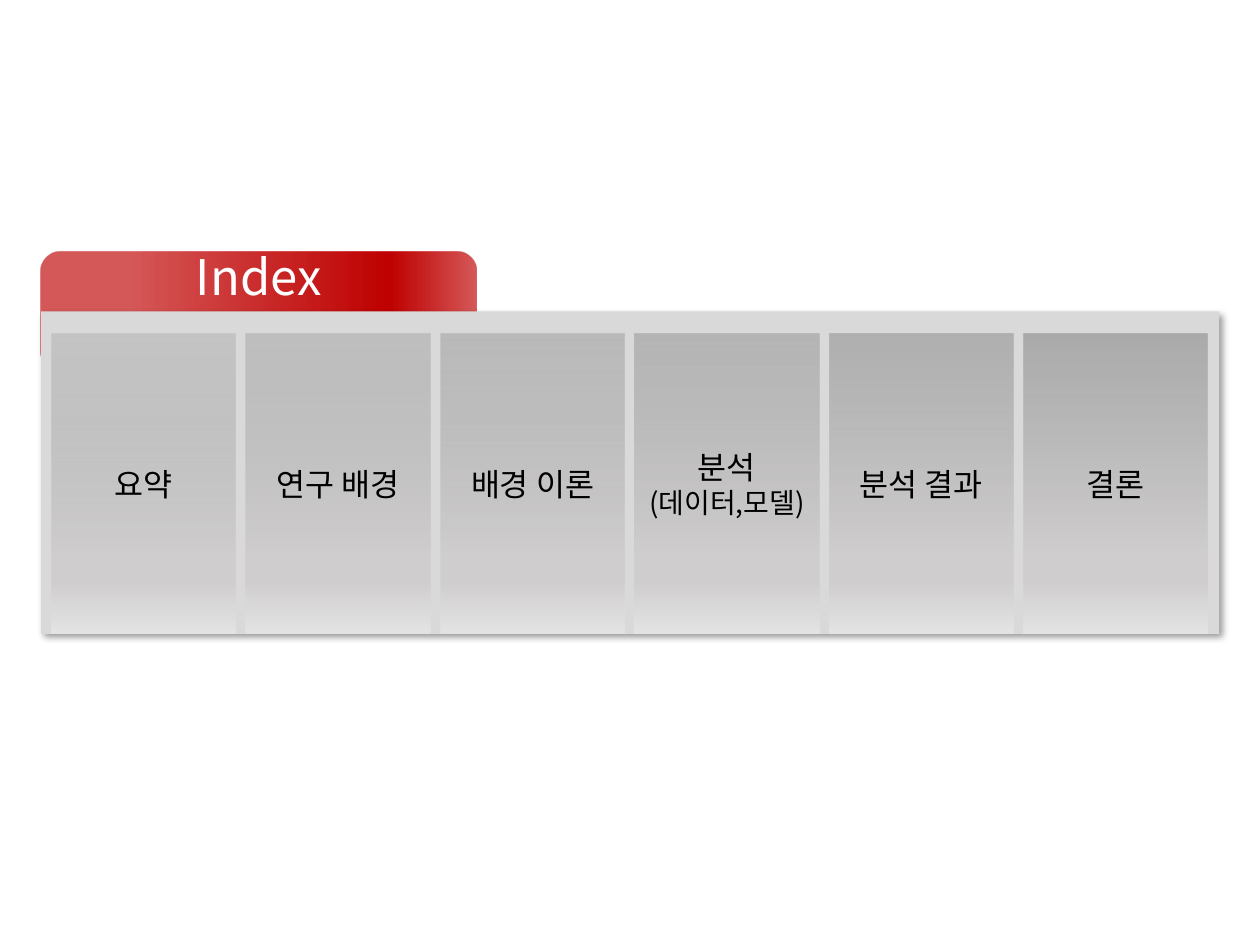
from lxml import etree
from pptx import Presentation
from pptx.dml.color import RGBColor
from pptx.enum.shapes import MSO_SHAPE
from pptx.enum.text import MSO_ANCHOR, PP_ALIGN
from pptx.oxml.ns import qn
from pptx.util import Cm, Pt

RECTANGLE = MSO_SHAPE.RECTANGLE
ROUNDED_RECTANGLE = MSO_SHAPE.ROUNDED_RECTANGLE
MIDDLE = MSO_ANCHOR.MIDDLE
CENTER = PP_ALIGN.CENTER

FONT = "Noto Sans CJK KR"
BLACK = RGBColor(0x00, 0x00, 0x00)
WHITE = RGBColor(0xFF, 0xFF, 0xFF)
RED = RGBColor(0xC0, 0x00, 0x00)
PANEL_GRAY = RGBColor(0xD9, 0xD9, 0xD9)
COLUMN_GRAY = RGBColor(0xA6, 0xA6, 0xA6)
WARM_GRAY = RGBColor(0xD0, 0xCE, 0xCE)
PALE_GRAY = RGBColor(0xE7, 0xE6, 0xE6)

COLUMN_LEFT, COLUMN_TOP = 1.04, 6.73
COLUMN_WIDTH, COLUMN_HEIGHT = 3.71, 6.05
COLUMN_PITCH = 3.92
FIRST_OPACITY, OPACITY_STEP = 40, 10

# Each section is a list of (text, size) lines.
SECTIONS = [
    [("요약", 18)],
    [("연구 배경", 18)],
    [("배경 이론", 18)],
    [("분석", 18), ("(데이터,모델)", 16)],
    [("분석 결과", 18)],
    [("결론", 18)],
]


def add_box(slide, kind, left, top, width, height):
    shape = slide.shapes.add_shape(kind, Cm(left), Cm(top), Cm(width), Cm(height))
    shape.shadow.inherit = False
    shape.line.fill.background()
    return shape


def add_color(parent, color, opacity):
    element = etree.SubElement(parent, qn("a:srgbClr"), val=str(color))
    if opacity < 100:
        etree.SubElement(element, qn("a:alpha"), val=str(opacity * 1000))


def set_gradient(shape, stops, angle):
    """Fill with (position, color, opacity) stops; the angle runs clockwise."""
    shape.fill.gradient()
    gradient = shape._element.spPr.find(qn("a:gradFill"))
    for child in list(gradient):
        gradient.remove(child)
    stop_list = etree.SubElement(gradient, qn("a:gsLst"))
    for position, color, opacity in stops:
        stop = etree.SubElement(stop_list, qn("a:gs"), pos=str(position * 1000))
        add_color(stop, color, opacity)
    etree.SubElement(gradient, qn("a:lin"), ang=str(angle * 60000), scaled="0")


def add_shadow(shape, opacity, blur, distance, angle):
    effects = shape._element.spPr.find(qn("a:effectLst"))
    shadow = etree.SubElement(
        effects, qn("a:outerShdw"), blurRad=str(Pt(blur)), dist=str(Pt(distance)),
        dir=str(angle * 60000), algn="tl", rotWithShape="0")
    add_color(shadow, BLACK, opacity)


def write_lines(shape, lines, color):
    frame = shape.text_frame
    frame.word_wrap = True
    frame.vertical_anchor = MIDDLE
    for index, (text, size) in enumerate(lines):
        paragraph = frame.add_paragraph() if index else frame.paragraphs[0]
        paragraph.alignment = CENTER
        run = paragraph.add_run()
        run.text = text
        run.font.size = Pt(size)
        run.font.name = FONT
        run.font.color.rgb = color
        etree.SubElement(run.font._element, qn("a:ea"), typeface=FONT)


def add_index_tab(slide):
    tab = add_box(slide, ROUNDED_RECTANGLE, 0.83, 5.08, 8.77, 2.39)
    set_gradient(tab, [(20, RED, 65), (80, RED, 100), (100, RED, 65)], 0)
    write_lines(tab, [("Index", 28)], WHITE)
    # The panel covers the lower half, so the title is centred above it.
    tab.text_frame.margin_top = 0
    tab.text_frame.margin_bottom = Cm(1.42)


def add_panel(slide):
    panel = add_box(slide, RECTANGLE, 0.83, 6.28, 23.75, 6.5)
    panel.fill.solid()
    panel.fill.fore_color.rgb = PANEL_GRAY
    add_shadow(panel, opacity=40, blur=4, distance=3, angle=45)


def add_section_column(slide, index, lines):
    column = add_box(slide, RECTANGLE, COLUMN_LEFT + index * COLUMN_PITCH,
                     COLUMN_TOP, COLUMN_WIDTH, COLUMN_HEIGHT)
    opacity = FIRST_OPACITY + index * OPACITY_STEP
    set_gradient(column, [(0, COLUMN_GRAY, opacity), (74, WARM_GRAY, 100),
                          (83, WARM_GRAY, 100), (100, PALE_GRAY, 100)], 90)
    write_lines(column, lines, BLACK)


def main():
    presentation = Presentation()
    presentation.slide_width = Cm(25.4)
    presentation.slide_height = Cm(19.05)
    slide = presentation.slides.add_slide(presentation.slide_layouts[6])
    add_index_tab(slide)
    add_panel(slide)
    for index, lines in enumerate(SECTIONS):
        add_section_column(slide, index, lines)
    presentation.save("out.pptx")


if __name__ == "__main__":
    main()
